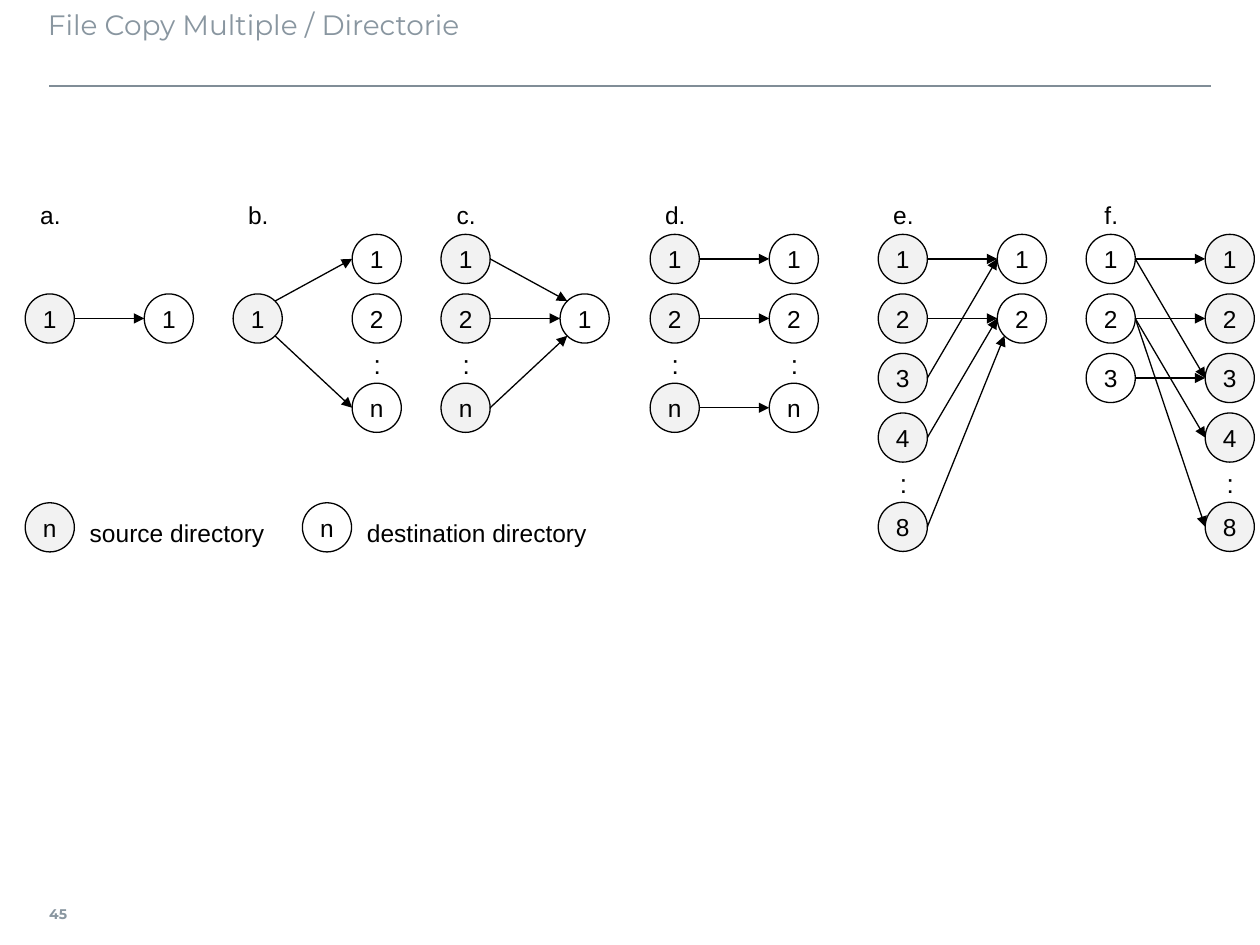
from dataclasses import dataclass

from lxml import etree
from pptx import Presentation
from pptx.dml.color import RGBColor
from pptx.enum.shapes import MSO_CONNECTOR, MSO_SHAPE
from pptx.enum.text import MSO_ANCHOR, PP_ALIGN
from pptx.oxml.ns import qn
from pptx.util import Inches, Pt

OVAL = MSO_SHAPE.OVAL
STRAIGHT = MSO_CONNECTOR.STRAIGHT
TOP, MIDDLE = MSO_ANCHOR.TOP, MSO_ANCHOR.MIDDLE
LEFT, CENTER = PP_ALIGN.LEFT, PP_ALIGN.CENTER


@dataclass(frozen=True)
class Theme:
    heading_font: str = "Montserrat"
    body_font: str = "Arial"
    ink: RGBColor = RGBColor(0x00, 0x00, 0x00)
    heading: RGBColor = RGBColor(0x89, 0x96, 0xA0)
    rule: RGBColor = RGBColor(0x80, 0x8D, 0x97)
    source: RGBColor = RGBColor(0xF2, 0xF2, 0xF2)
    title_size: int = 16
    body_size: int = 14
    dots_size: int = 15
    number_size: int = 8
    line_width: float = 0.75
    rule_width: float = 1


THEME = Theme()
NODE = Inches(0.39)
PITCH = Inches(1.89) // 4
COLUMN_STEP = 2 * PITCH
DOTS_STEP = PITCH // 2
LABEL_W, LABEL_H = Inches(0.24), Inches(0.32)
LABEL_INDENT = Inches(0.08)
LEGEND_W = Inches(1.9)
INSET = Inches(0.04)
LABEL_INSETS = (0, INSET, 0, INSET)
PANEL_TOP = Inches(1.54)
DIAGONAL = 0.5 ** 0.5
SITES = {
    "E": (1, 0), "NE": (DIAGONAL, -DIAGONAL), "SE": (DIAGONAL, DIAGONAL),
    "W": (-1, 0), "NW": (-DIAGONAL, -DIAGONAL), "SW": (-DIAGONAL, DIAGONAL),
}

PANELS = [
    dict(label="a.", left=0.2, sources="1", targets="1",
         source_row=1, target_row=1, links=[("1", "1")]),
    dict(label="b.", left=1.85, sources="1", targets="12:n", source_row=1,
         links=[("1", "1", "NE"), ("1", "n", "SE")]),
    dict(label="c.", left=3.5, sources="12:n", targets="1", target_row=1,
         links=[("1", "1", "E", "NW"), ("2", "1"), ("n", "1", "E", "SW")]),
    dict(label="d.", left=5.16, sources="12:n", targets="12:n",
         links=[("1", "1"), ("2", "2"), ("n", "n")]),
    dict(label="e.", left=6.97, sources="1234:8", targets="12",
         links=[("1", "1"), ("2", "2"), ("3", "1"), ("4", "2"),
                ("8", "2", "E", "SW")]),
    dict(label="f.", left=8.62, sources="123", targets="1234:8", reverse=True,
         links=[("1", "1"), ("1", "3"), ("2", "2"), ("2", "4"), ("2", "8"),
                ("3", "3")]),
]
LEGEND = [(0.2, "source directory", True), (2.4, "destination directory", False)]


def write_text(sp, text, size=THEME.body_size, font=THEME.body_font,
               color=THEME.ink, bold=False, align=CENTER, anchor=MIDDLE,
               wrap=False, insets=(INSET,) * 4):
    tf = sp.text_frame
    tf.word_wrap = wrap
    tf.vertical_anchor = anchor
    tf.margin_left, tf.margin_top, tf.margin_right, tf.margin_bottom = insets
    p = tf.paragraphs[0]
    p.alignment = align
    r = p.add_run()
    r.text = text
    r.font.size = Pt(size)
    r.font.name = font
    r.font.color.rgb = color
    r.font.bold = bold


def add_label(s, text, box, **style):
    write_text(s.shapes.add_textbox(*box), text, **style)


def add_line(s, start, end, color=THEME.ink, width=THEME.line_width, arrow=True):
    line = s.shapes.add_connector(STRAIGHT, *start, *end)
    line.line.color.rgb = color
    line.line.width = Pt(width)
    if arrow:
        etree.SubElement(line.line._get_or_add_ln(), qn("a:tailEnd"), type="triangle")
    etree.SubElement(line._element.spPr, qn("a:effectLst"))


def add_node(s, text, left, top, is_source):
    sp = s.shapes.add_shape(OVAL, left, top, NODE, NODE)
    sp.shadow.inherit = False
    if is_source:
        sp.fill.solid()
        sp.fill.fore_color.rgb = THEME.source
    else:
        sp.fill.background()
    sp.line.color.rgb = THEME.ink
    sp.line.width = Pt(THEME.line_width)
    write_text(sp, text)
    return sp


def add_column(s, names, left, top, is_source):
    nodes = {}
    for name in names:
        if name == ":":
            box = (left + LABEL_INDENT, top - LABEL_INDENT, LABEL_W, LABEL_H)
            add_label(s, name, box, size=THEME.dots_size, insets=LABEL_INSETS)
            top += DOTS_STEP
        else:
            nodes[name] = add_node(s, name, left, top, is_source)
            top += PITCH
    return nodes


def site_point(node, site):
    dx, dy = SITES[site]
    radius = node.width / 2
    return (round(node.left + radius * (1 + dx)),
            round(node.top + radius * (1 + dy)))


def add_panel(s, left, top, label, sources, targets, links,
              source_row=0, target_row=0, reverse=False):
    add_label(s, label, (left + LABEL_INDENT, top, LABEL_W, LABEL_H),
              insets=LABEL_INSETS)
    first = top + LABEL_H
    starts = add_column(s, sources, left, first + source_row * PITCH, not reverse)
    ends = add_column(s, targets, left + COLUMN_STEP,
                      first + target_row * PITCH, reverse)
    for start, end, *sites in links:
        out_site, in_site = (*sites, *("E", "W")[len(sites):])
        add_line(s, site_point(starts[start], out_site),
                 site_point(ends[end], in_site))


def add_legend_entry(s, left, top, text, is_source):
    add_node(s, "n", left, top, is_source)
    box = (left + PITCH, top + LABEL_INDENT, LEGEND_W, LABEL_H)
    add_label(s, text, box, align=LEFT, wrap=True)


def add_header(s, left, top, width, height, text):
    title = s.shapes.title
    title.left, title.top, title.width, title.height = left, top, width, height
    write_text(title, text, size=THEME.title_size, font=THEME.heading_font,
               color=THEME.heading, align=LEFT, anchor=TOP, wrap=True,
               insets=(0, Inches(0.05), Inches(0.1), Inches(0.05)))
    rule_y = Inches(0.68)
    add_line(s, (Inches(0.39), rule_y), (Inches(9.61), rule_y),
             color=THEME.rule, width=THEME.rule_width, arrow=False)


def add_page_number(s, left, top, width, height, text):
    add_label(s, text, (left, top, width, height), size=THEME.number_size,
              font=THEME.heading_font, color=THEME.heading, bold=True, align=LEFT,
              insets=(0, Inches(0.05), Inches(0.08), Inches(0.05)))


def main():
    prs = Presentation()
    prs.slide_width, prs.slide_height = Inches(10), Inches(7.5)
    s = prs.slides.add_slide(prs.slide_layouts[5])
    add_header(s, Inches(0.38), Inches(0.01), Inches(9.21), Inches(0.63),
               "File Copy Multiple / Directorie")
    for panel in PANELS:
        add_panel(s, **{**panel, "left": Inches(panel["left"]), "top": PANEL_TOP})
    for left, text, is_source in LEGEND:
        add_legend_entry(s, Inches(left), Inches(3.99), text, is_source)
    add_page_number(s, Inches(0.39), Inches(7.06), Inches(0.35), Inches(0.39), "45")
    prs.save("out.pptx")


if __name__ == "__main__":
    main()
